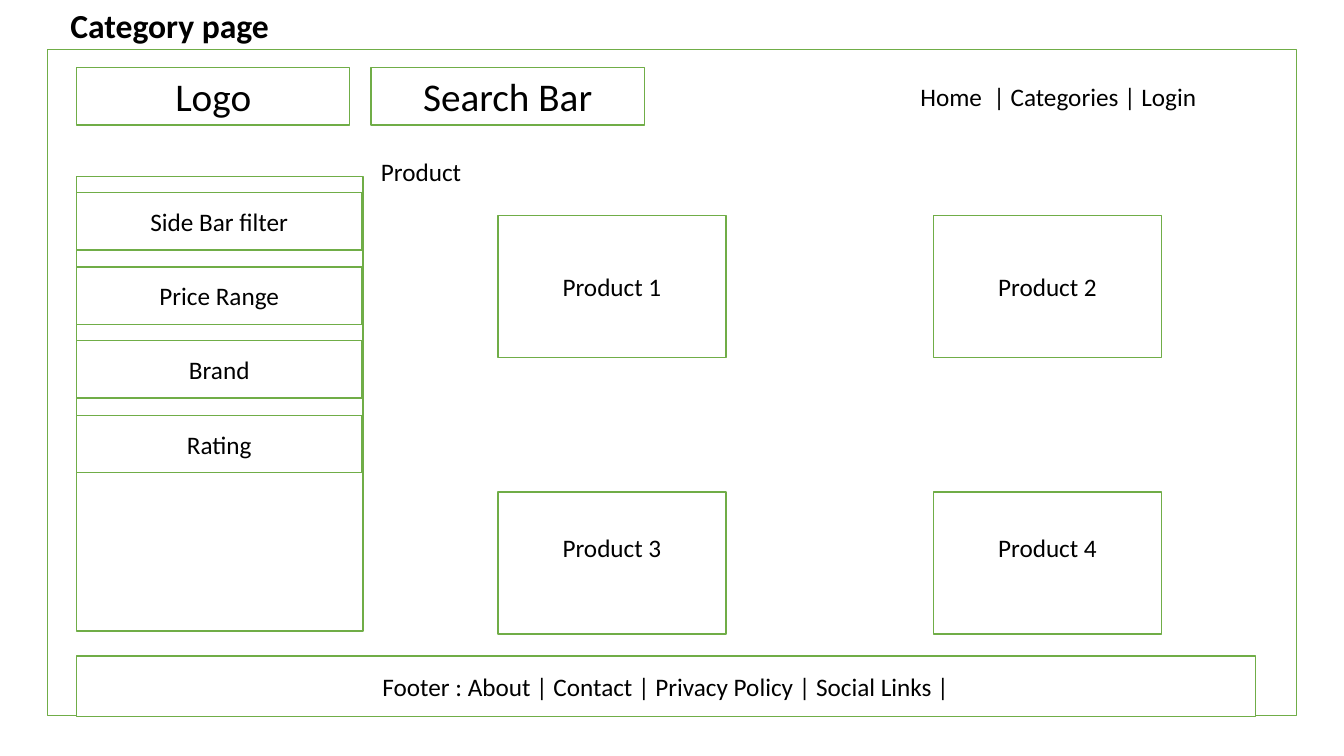
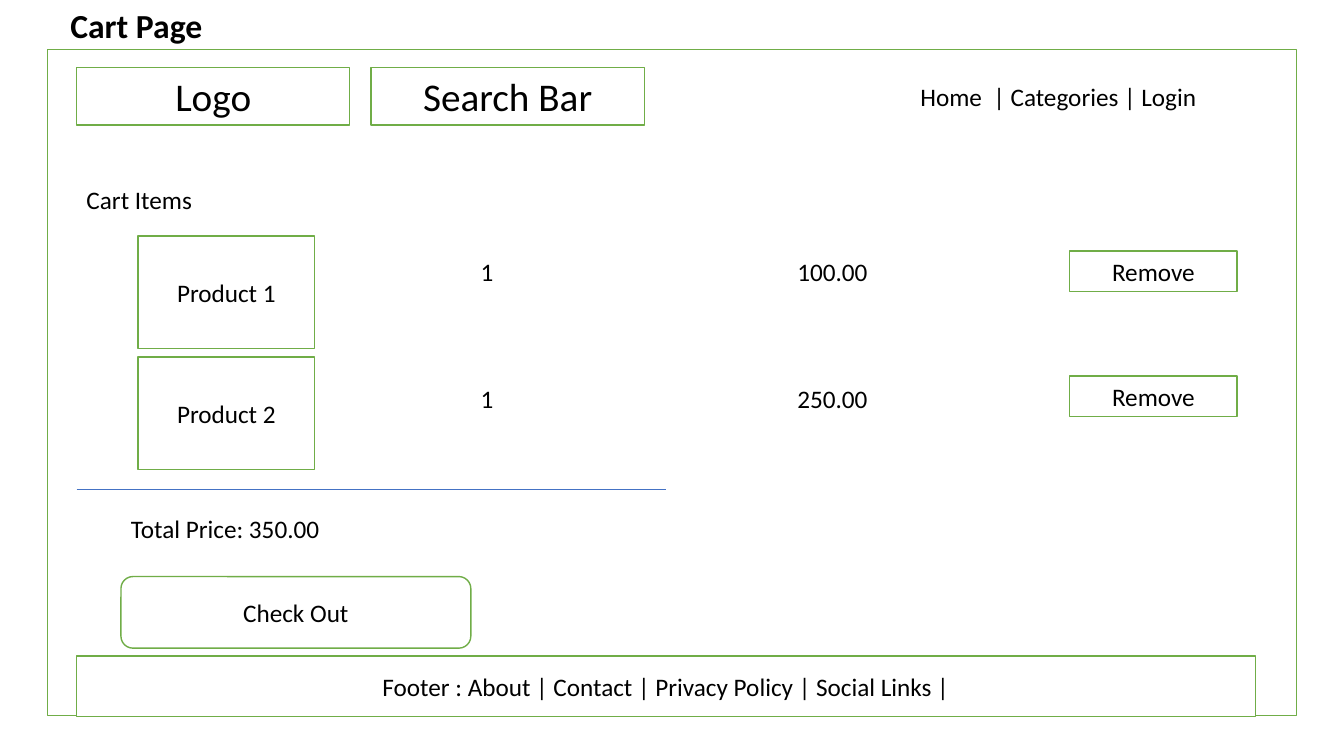
from dataclasses import dataclass

from pptx import Presentation
from pptx.dml.color import RGBColor
from pptx.enum.shapes import MSO_CONNECTOR, MSO_SHAPE
from pptx.enum.text import MSO_ANCHOR, MSO_AUTO_SIZE, PP_ALIGN
from pptx.oxml.ns import qn
from pptx.slide import Slide
from pptx.text.text import TextFrame
from pptx.util import Emu, Pt
from lxml import etree

RECT = MSO_SHAPE.RECTANGLE
ROUND = MSO_SHAPE.ROUNDED_RECTANGLE
STRAIGHT = MSO_CONNECTOR.STRAIGHT
LEFT, CENTER = PP_ALIGN.LEFT, PP_ALIGN.CENTER
TOP, MIDDLE = MSO_ANCHOR.TOP, MSO_ANCHOR.MIDDLE
GROW = MSO_AUTO_SIZE.SHAPE_TO_FIT_TEXT

FONT = "Calibri"
INK, PAPER, GREEN, BLUE = "000000", "FFFFFF", "70AD47", "4472C4"
BODY, HEAD, LARGE = 18, 24, 28
EDGE = 76  # left edge of the page content
ROW = 40   # height of one line of text


@dataclass(frozen=True)
class Box:
    x: int
    y: int
    w: int
    h: int
    text: str = ""
    size: int = BODY
    kind: MSO_SHAPE = RECT
    inset: int = 5  # space below the text


@dataclass(frozen=True)
class Label:
    x: int
    y: int
    w: int
    text: str
    size: int = BODY
    bold: bool = False
    h: int = ROW


@dataclass(frozen=True)
class Item:
    name: str
    count: str
    price: str
    top: int     # product box
    line: int    # count and price
    button: int


# Parts that both pages share
FRAME = (
    Box(47, 49, 1239, 661),
    Box(EDGE, 67, 271, 57, "Logo", LARGE),
    Box(368, 67, 271, 57, "Search Bar", LARGE),
    Box(EDGE, 651, 1169, 60,
        "Footer : About | Contact | Privacy Policy | Social Links |"),
)
MENU = Label(903, 76, 453, "Home  | Categories | Login")

FILTERS = ("Side Bar filter", "Price Range", "Brand", "Rating")
ITEMS = (
    Item("Product 1", "1", "100.00", 234, 249, 249),
    Item("Product 2", "1", "250.00", 354, 375, 373),
)


def px(value: int) -> Emu:
    return Emu(value * 9144)


def color(code: str) -> RGBColor:
    return RGBColor.from_string(code)


def write(frame: TextFrame, text: str, *, size: int = BODY,
          bold: bool = False, align: PP_ALIGN = LEFT,
          anchor: MSO_ANCHOR = TOP) -> None:
    frame.word_wrap = True
    frame.vertical_anchor = anchor
    para = frame.paragraphs[0]
    para.alignment = align
    run = para.add_run()
    run.text = text
    run.font.name = FONT
    run.font.size = Pt(size)
    run.font.bold = bold
    run.font.color.rgb = color(INK)


def draw_box(slide: Slide, box: Box) -> None:
    shape = slide.shapes.add_shape(
        box.kind, px(box.x), px(box.y), px(box.w), px(box.h))
    shape.shadow.inherit = False
    shape.fill.solid()
    shape.fill.fore_color.rgb = color(PAPER)
    shape.line.color.rgb = color(GREEN)
    shape.line.width = Pt(1)
    if box.text:
        shape.text_frame.margin_bottom = px(box.inset)
        write(shape.text_frame, box.text, size=box.size,
              align=CENTER, anchor=MIDDLE)


def draw_label(slide: Slide, label: Label) -> None:
    shape = slide.shapes.add_textbox(
        px(label.x), px(label.y), px(label.w), px(label.h))
    write(shape.text_frame, label.text, size=label.size, bold=label.bold)
    shape.text_frame.auto_size = GROW


def draw_rule(slide: Slide, x: int, y: int, end: int) -> None:
    rule = slide.shapes.add_connector(STRAIGHT, px(x), px(y), px(end), px(y))
    rule.line.color.rgb = color(BLUE)
    rule.line.width = Pt(0.5)
    props = rule.element.find(qn("p:spPr"))
    etree.SubElement(props, qn("a:effectLst"))


def add_page(deck: Presentation, title: str) -> Slide:
    slide = deck.slides.add_slide(deck.slide_layouts[6])
    for box in FRAME:
        draw_box(slide, box)
    draw_label(slide, MENU)
    draw_label(slide, Label(60, 0, 363, title, HEAD, True, 50))
    return slide


def add_shop(deck: Presentation) -> None:
    slide = add_page(deck, "Category page")
    # Side bar
    draw_box(slide, Box(EDGE, 175, 284, 451))
    for i, name in enumerate(FILTERS):
        draw_box(slide, Box(EDGE, round(191 + i * 221 / 3), 283, 57, name))
    # Product grid; text in the lower row sits half a line higher
    draw_label(slide, Label(368, 150, 238, "Product"))
    for i in range(4):
        row, col = divmod(i, 2)
        draw_box(slide, Box(494 + col * 432, 214 + row * 274, 226, 141,
                            f"Product {i + 1}", inset=5 + row * 30))


def add_cart(deck: Presentation) -> None:
    slide = add_page(deck, "Cart Page")
    # Items
    draw_label(slide, Label(EDGE, 178, 284, "Cart Items"))
    for item in ITEMS:
        draw_box(slide, Box(137, item.top, 175, 112, item.name))
        draw_label(slide, Label(467, item.line, 143, item.count))
        draw_label(slide, Label(781, item.line, 143, item.price))
        draw_box(slide, Box(1061, item.button, 166, ROW, "Remove"))
    # Total
    draw_rule(slide, EDGE, 485, 661)
    draw_label(slide, Label(120, 504, 240, "Total Price: 350.00"))
    draw_box(slide, Box(120, 572, 347, 71, "Check Out", kind=ROUND))


def main() -> None:
    deck = Presentation()
    deck.slide_width, deck.slide_height = px(1333), px(750)
    add_shop(deck)
    add_cart(deck)
    deck.save("out.pptx")


if __name__ == "__main__":
    main()
